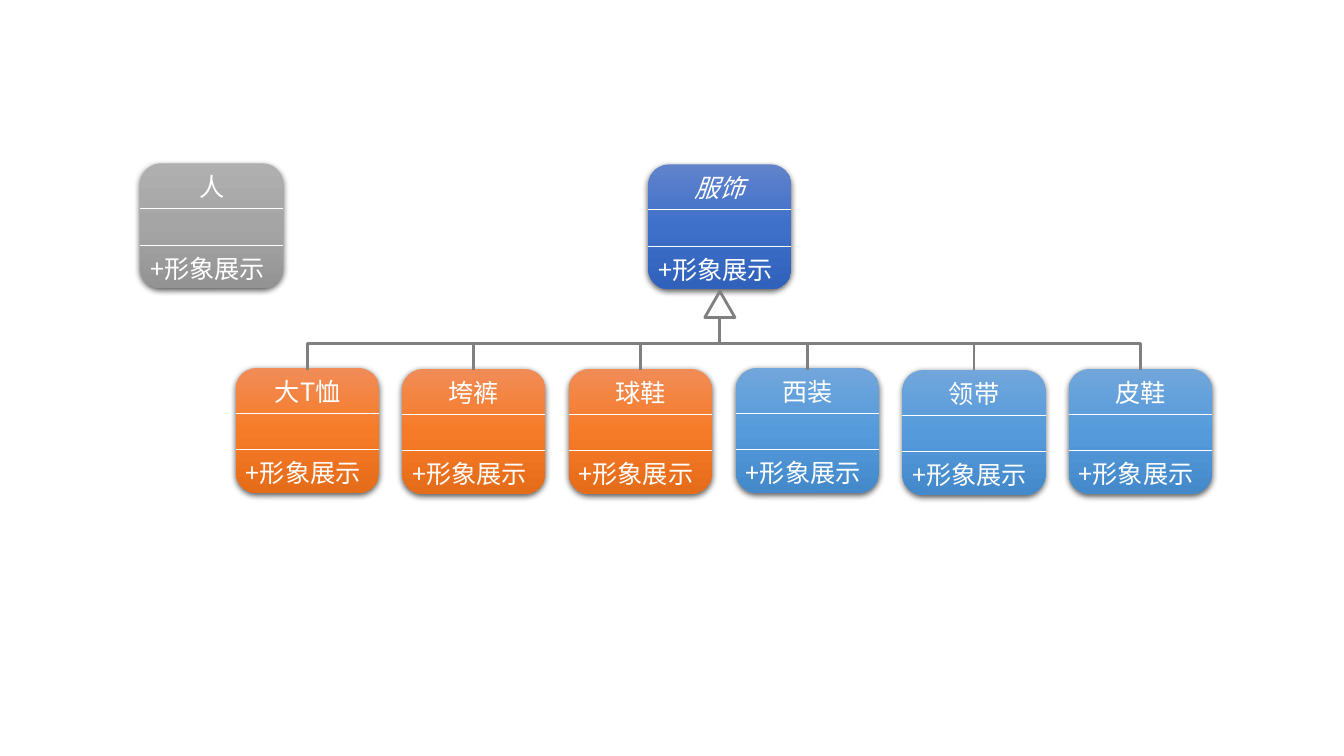
from copy import deepcopy
from dataclasses import dataclass

from lxml import etree
from pptx import Presentation
from pptx.dml.color import RGBColor
from pptx.enum.shapes import MSO_CONNECTOR, MSO_SHAPE
from pptx.enum.text import MSO_AUTO_SIZE, PP_ALIGN
from pptx.oxml.ns import qn
from pptx.util import Emu, Pt

ELBOW, STRAIGHT = MSO_CONNECTOR.ELBOW, MSO_CONNECTOR.STRAIGHT
ROUNDED, TRIANGLE = MSO_SHAPE.ROUNDED_RECTANGLE, MSO_SHAPE.ISOSCELES_TRIANGLE
CENTER, LEFT = PP_ALIGN.CENTER, PP_ALIGN.LEFT
GROW = MSO_AUTO_SIZE.SHAPE_TO_FIT_TEXT

EMU_PER_PX = 9144
SLIDE_SIZE = (1333, 750)
CARD_WIDTH, CARD_HEIGHT = 142, 124
LABEL_HEIGHT = 40


@dataclass(frozen=True)
class Theme:
    font: str = "Noto Sans CJK SC"
    text_size: float = 18
    text: str = "FFFFFF"
    divider_width: float = 0.5
    link: str = "808080"
    link_width: float = 2
    gray: tuple = ("AFAFAF", "A5A5A5", "939393")
    blue: tuple = ("6183CB", "3E70CA", "3062BB")
    orange: tuple = ("F18C57", "F67B28", "E56C19")
    sky: tuple = ("71A6DB", "559BDB", "448ACA")


THEME = Theme()
OPERATION = "+形象展示"
GARMENTS = [
    ("大T恤", THEME.orange, 365),
    ("垮裤", THEME.orange, 366),
    ("球鞋", THEME.orange, 366),
    ("西装", THEME.sky, 365),
    ("领带", THEME.sky, 367),
    ("皮鞋", THEME.sky, 366),
]
ROW_LEFT, ROW_SPAN = 234, 826
LINK_BOTTOM = 367


def px(*lengths):
    return [Emu(round(length * EMU_PER_PX)) for length in lengths]


def style_line(line, color, width):
    line.color.rgb = RGBColor.from_string(color)
    line.width = Pt(width)


def add_line(shapes, kind, ends, color, width):
    connector = shapes.add_connector(kind, *px(*ends))
    style_line(connector.line, color, width)
    etree.SubElement(connector._element.spPr, qn("a:effectLst"))
    return connector


def add_gradient(shape, colors):
    shape.fill.gradient()
    shape.fill.gradient_angle = 270
    stops = shape._element.spPr.find(".//" + qn("a:gsLst"))
    stops.append(deepcopy(stops[-1]))
    for index, (stop, color) in enumerate(zip(shape.fill.gradient_stops, colors)):
        stop.position = index / 2
        stop.color.rgb = RGBColor.from_string(color)


def add_shadow(shape):
    shape.shadow.inherit = False
    effects = shape._element.spPr.find(qn("a:effectLst"))
    shadow = etree.SubElement(
        effects, qn("a:outerShdw"), blurRad=str(Pt(4.5)), dist=str(Pt(1.5)),
        dir="5400000", algn="ctr", rotWithShape="0")
    color = etree.SubElement(shadow, qn("a:srgbClr"), val="000000")
    etree.SubElement(color, qn("a:alpha"), val="63000")


def add_label(shapes, left, top, text, alignment, italic=False):
    label = shapes.add_textbox(*px(left, top, CARD_WIDTH, LABEL_HEIGHT))
    frame = label.text_frame
    frame.word_wrap = True
    frame.auto_size = GROW
    frame.text = text
    paragraph = frame.paragraphs[0]
    paragraph.alignment = alignment
    font = paragraph.runs[0].font
    font.size = Pt(THEME.text_size)
    font.name = THEME.font
    font.color.rgb = RGBColor.from_string(THEME.text)
    if italic:
        font.italic = True
    etree.SubElement(font._element, qn("a:ea"), typeface=THEME.font)


def add_class_card(slide, left, top, name, colors, abstract=False):
    shapes = slide.shapes.add_group_shape().shapes
    body = shapes.add_shape(ROUNDED, *px(left, top, CARD_WIDTH, CARD_HEIGHT))
    add_gradient(body, colors)
    body.line.fill.background()
    add_shadow(body)
    for offset in (45, 81):
        ends = (left, top + offset, left + CARD_WIDTH, top + offset)
        add_line(shapes, STRAIGHT, ends, THEME.text, THEME.divider_width)
    add_label(shapes, left, top + 3, name, CENTER, abstract)
    add_label(shapes, left, top + 84, OPERATION, LEFT)


def add_inheritance_arrow(slide, left, top, width, height):
    arrow = slide.shapes.add_shape(TRIANGLE, *px(left, top, width, height))
    arrow.fill.background()
    arrow.shadow.inherit = False
    style_line(arrow.line, THEME.link, THEME.link_width)


def add_inheritance_link(slide, child_x, child_y, parent_x, parent_y):
    center_x, center_y = (child_x + parent_x) / 2, (child_y + parent_y) / 2
    half_rise, half_run = (child_y - parent_y) / 2, (parent_x - child_x) / 2
    ends = (center_x - half_rise, center_y - half_run,
            center_x + half_rise, center_y + half_run)
    link = add_line(slide.shapes, ELBOW, ends, THEME.link, THEME.link_width)
    link.rotation = 270


def add_class_diagram(slide):
    root_left, root_top = 643, 163
    root_center = root_left + CARD_WIDTH // 2
    arrow_top, arrow_width, arrow_height = 289, 30, 26
    add_class_card(slide, 139, 162, "人", THEME.gray)
    add_class_card(slide, root_left, root_top, "服饰", THEME.blue, abstract=True)
    pitch = ROW_SPAN / (len(GARMENTS) - 1)
    lefts = [round(ROW_LEFT + pitch * index) for index in range(len(GARMENTS))]
    for left, (name, colors, top) in zip(lefts, GARMENTS):
        add_class_card(slide, left, top, name, colors)
    for left in lefts:
        add_inheritance_link(slide, left + CARD_WIDTH // 2, LINK_BOTTOM,
                             root_center, arrow_top + arrow_height)
    add_inheritance_arrow(slide, root_center - arrow_width // 2, arrow_top,
                          arrow_width, arrow_height)


def main():
    presentation = Presentation()
    presentation.slide_width, presentation.slide_height = px(*SLIDE_SIZE)
    slide = presentation.slides.add_slide(presentation.slide_layouts[6])
    add_class_diagram(slide)
    presentation.save("out.pptx")


if __name__ == "__main__":
    main()
